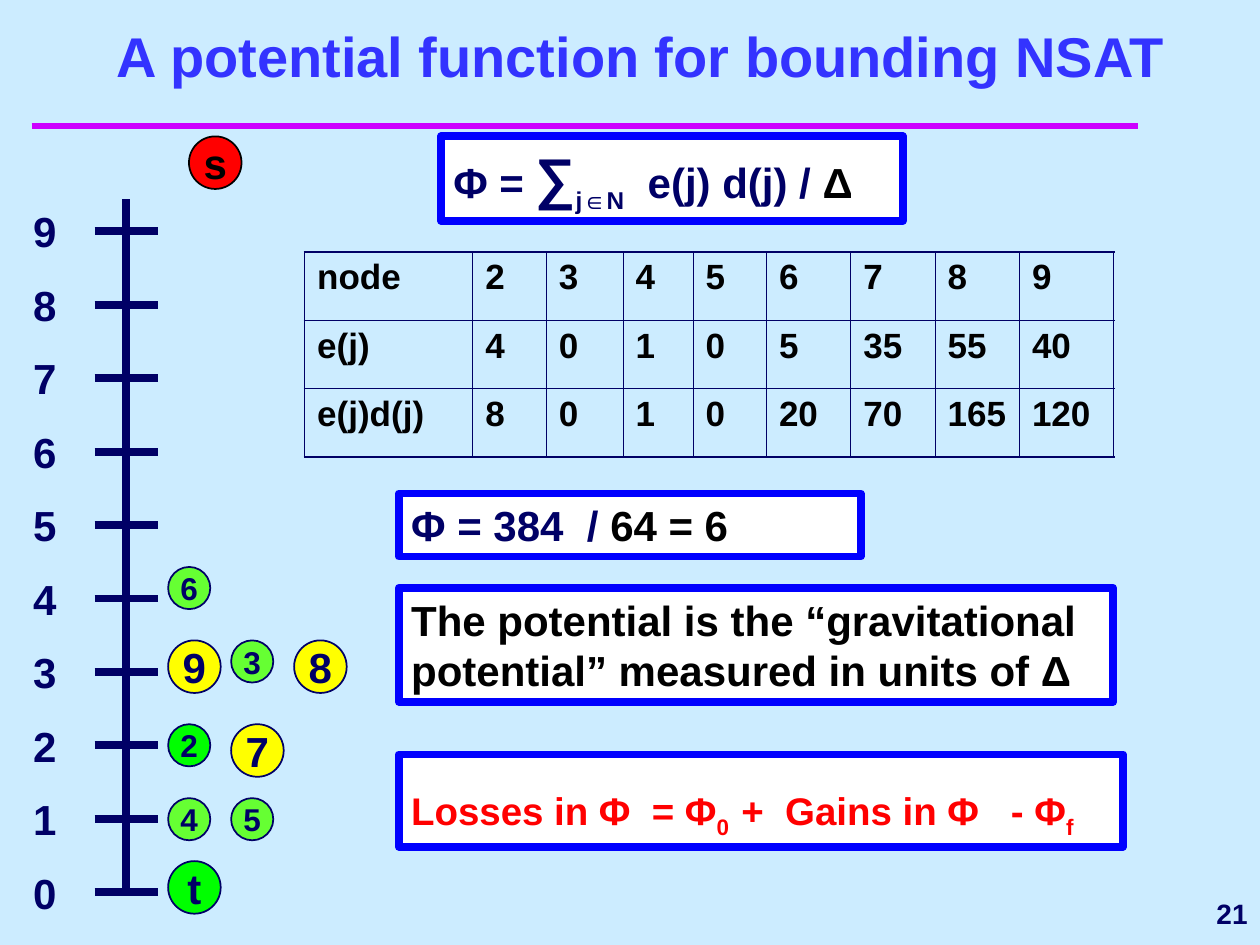
from lxml import etree
from pptx import Presentation
from pptx.dml.color import RGBColor
from pptx.enum import shapes, text
from pptx.oxml import ns
from pptx.util import Cm, Pt

COLORS = {
    "background": "CCECFF", "title": "3333FF", "rule": "CC00FF", "navy": "000066",
    "black": "000000", "white": "FFFFFF", "frame": "0000FF", "red": "FF0000",
    "yellow": "FFFF00", "green": "00FF00", "lime": "66FF33",
}
ALIGN, ANCHOR = text.PP_ALIGN, text.MSO_ANCHOR

# Excess e(j) and weighted distance e(j)d(j) of each node
POTENTIAL_ROWS = [
    ["node", "2", "3", "4", "5", "6", "7", "8", "9"],
    ["e(j)", "4", "0", "1", "0", "5", "35", "55", "40"],
    ["e(j)d(j)", "8", "0", "1", "0", "20", "70", "165", "120"],
]
COLUMN_WIDTHS = [3.39, 1.48, 1.55, 1.41, 1.48, 1.7, 1.7, 1.7, 1.9]

# Label, left and top inside the scale region, diameter, fill
NODES = [
    ("t", 2.97, 14.61, 1.06, "green"),
    ("4", 2.97, 13.34, 0.85, "lime"),
    ("5", 4.24, 13.34, 0.85, "lime"),
    ("2", 2.97, 11.85, 0.85, "green"),
    ("7", 4.24, 11.85, 1.06, "yellow"),
    ("9", 2.97, 10.16, 1.06, "yellow"),
    ("3", 4.24, 10.16, 0.85, "lime"),
    ("8", 5.51, 10.16, 1.06, "yellow"),
    ("6", 2.97, 8.68, 0.85, "lime"),
    ("s", 3.39, 0, 1.06, "red"),
]


def rgb(name):
    return RGBColor.from_string(COLORS[name])


def write(frame, content, size=24, color="navy", align=ALIGN.LEFT,
          anchor=ANCHOR.TOP, wrap=True, line_spacing=None, space_after=0):
    """Fill a frame with a string, or with (string, overrides) runs."""
    frame.word_wrap = wrap
    frame.auto_size = text.MSO_AUTO_SIZE.NONE
    frame.vertical_anchor = anchor
    paragraph = frame.paragraphs[0]
    paragraph.alignment = align
    paragraph.line_spacing = line_spacing
    paragraph.space_before, paragraph.space_after = Pt(0), Pt(space_after)
    for words, overrides in [(content, {})] if isinstance(content, str) else content:
        run = paragraph.add_run()
        run.text = words
        run.font.name, run.font.bold = "Arial", True
        run.font.size = Pt(overrides.get("size", size))
        run.font.color.rgb = rgb(overrides.get("color", color))
        if overrides.get("subscript"):
            run._r.get_or_add_rPr().set("baseline", "-25000")


def draw_line(parent, x1, y1, x2, y2, color, width):
    line = parent.add_connector(shapes.MSO_CONNECTOR.STRAIGHT, Cm(x1), Cm(y1), Cm(x2), Cm(y2))
    line.line.color.rgb = rgb(color)
    line.line.width = Pt(width)
    etree.SubElement(line._element.spPr, ns.qn("a:effectLst"))


def draw_shape(parent, kind, box, fill, outline, width):
    shape = parent.add_shape(kind, *map(Cm, box))
    shape.shadow.inherit = False
    shape.fill.solid()
    shape.fill.fore_color.rgb = rgb(fill)
    shape.line.color.rgb = rgb(outline)
    shape.line.width = Pt(width)
    return shape


def add_header(slide, box):
    left, top, width, height = box
    title = slide.shapes.title
    title.left, title.top = Cm(left + 0.43), Cm(top)
    title.width, title.height = Cm(width), Cm(height)
    write(title.text_frame, "A potential function for bounding NSAT", size=32,
          color="title", align=ALIGN.CENTER, anchor=ANCHOR.BOTTOM)
    draw_line(slide.shapes, left, top + 1.69, left + 22.3, top + 1.69, "rule", 4)


def add_page_number(slide, box):
    number = slide.shapes.add_textbox(*map(Cm, box))
    write(number.text_frame, "21", size=16, align=ALIGN.RIGHT, anchor=ANCHOR.MIDDLE, wrap=False)


def add_distance_scale(slide, box):
    left, top, _, height = box
    parts = slide.shapes.add_group_shape().shapes
    axis, half_tick = left + 2.12, 0.635
    zero, unit = top + height, 13.33 / 9
    draw_line(parts, axis, top + 1.27, axis, zero, "navy", 4.5)
    # Ticks and distance labels
    for distance in range(10):
        y = zero - distance * unit
        draw_line(parts, axis - half_tick, y, axis + half_tick, y, "navy", 4.5)
        label = parts.add_textbox(Cm(left), Cm(y - half_tick), Cm(1.06), Cm(1.27))
        write(label.text_frame, str(distance))
    # Nodes beside their distance to the sink
    for name, x, y, diameter, fill in NODES:
        ink = "black" if name == "s" else "navy"
        node = draw_shape(parts, shapes.MSO_SHAPE.OVAL,
                          (left + x, top + y, diameter, diameter), fill, ink, 1)
        write(node.text_frame, name, size=24 if diameter > 1 else 18, color=ink,
              align=ALIGN.CENTER, anchor=ANCHOR.MIDDLE, wrap=False)


def set_border(cell, side, width):
    properties = cell._tc.get_or_add_tcPr()
    line = etree.SubElement(properties, ns.qn(f"a:ln{side}"), w=str(Pt(width)))
    fill = etree.SubElement(line, ns.qn("a:solidFill"))
    etree.SubElement(fill, ns.qn("a:srgbClr"), val=COLORS["navy"])


def add_potential_table(slide, box):
    row_count, column_count = len(POTENTIAL_ROWS), len(COLUMN_WIDTHS)
    table = slide.shapes.add_table(row_count, column_count, *map(Cm, box)).table
    table.first_row = table.horz_banding = False
    for column, width in zip(table.columns, COLUMN_WIDTHS):
        column.width = Cm(width)
    for r, values in enumerate(POTENTIAL_ROWS):
        table.rows[r].height = Cm(box[3] / row_count)
        for c, value in enumerate(values):
            cell = table.cell(r, c)
            outer = {"L": c == 0, "R": c == column_count - 1,
                     "T": r == 0, "B": r == row_count - 1}
            for side, is_outer in outer.items():
                set_border(cell, side, 1.08 if is_outer else 0.45)
            cell.fill.background()
            write(cell.text_frame, value, size=20, color="black")


def add_panel(slide, box, content, **style):
    panel = draw_shape(slide.shapes, shapes.MSO_SHAPE.RECTANGLE, box, "white", "frame", 4.5)
    write(panel.text_frame, content, **style)


def main():
    presentation = Presentation()
    presentation.slide_width, presentation.slide_height = Cm(25.4), Cm(19.05)
    slide = presentation.slides.add_slide(presentation.slide_layouts[5])
    slide.background.fill.solid()
    slide.background.fill.fore_color.rgb = rgb("background")

    add_header(slide, (0.64, 0.85, 23.7, 1.06))
    add_page_number(slide, (20.52, 17.78, 4.88, 1.27))
    add_distance_scale(slide, (0.42, 2.75, 6.57, 15.24))
    add_potential_table(slide, (6.14, 5.08, 16.31, 4.14))

    # Definition, value and meaning of the potential
    add_panel(slide, (8.89, 2.75, 9.31, 1.7), [
        ("Φ = ", {}), ("∑", {"size": 32}), ("j∈N", {"subscript": True}),
        ("  e(j) d(j) / ", {}), ("Δ", {"color": "black"})])
    add_panel(slide, (8.04, 9.95, 9.31, 1.27),
              [("Φ = 384  / ", {}), ("64 = 6", {"color": "black"})])
    add_panel(slide, (8.04, 11.85, 14.4, 2.3),
              "The potential is the “gravitational potential” measured in units of Δ",
              color="black")
    add_panel(slide, (8.04, 15.21, 14.6, 1.86), [
        ("Losses in Φ  = Φ", {}), ("0  ", {"subscript": True}),
        ("+  Gains in Φ   - Φ", {}), ("f", {"subscript": True})],
        size=22, color="red", line_spacing=1.5, space_after=6)

    presentation.save("out.pptx")


if __name__ == "__main__":
    main()
